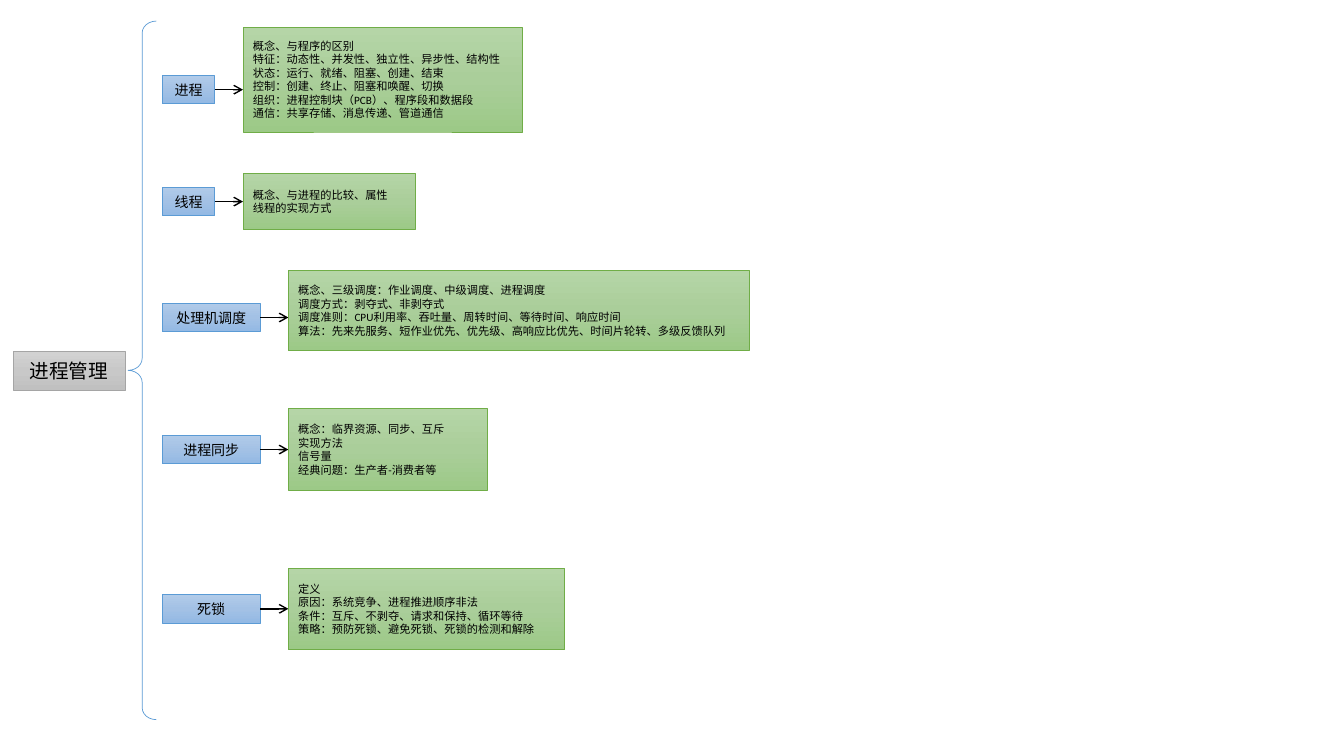
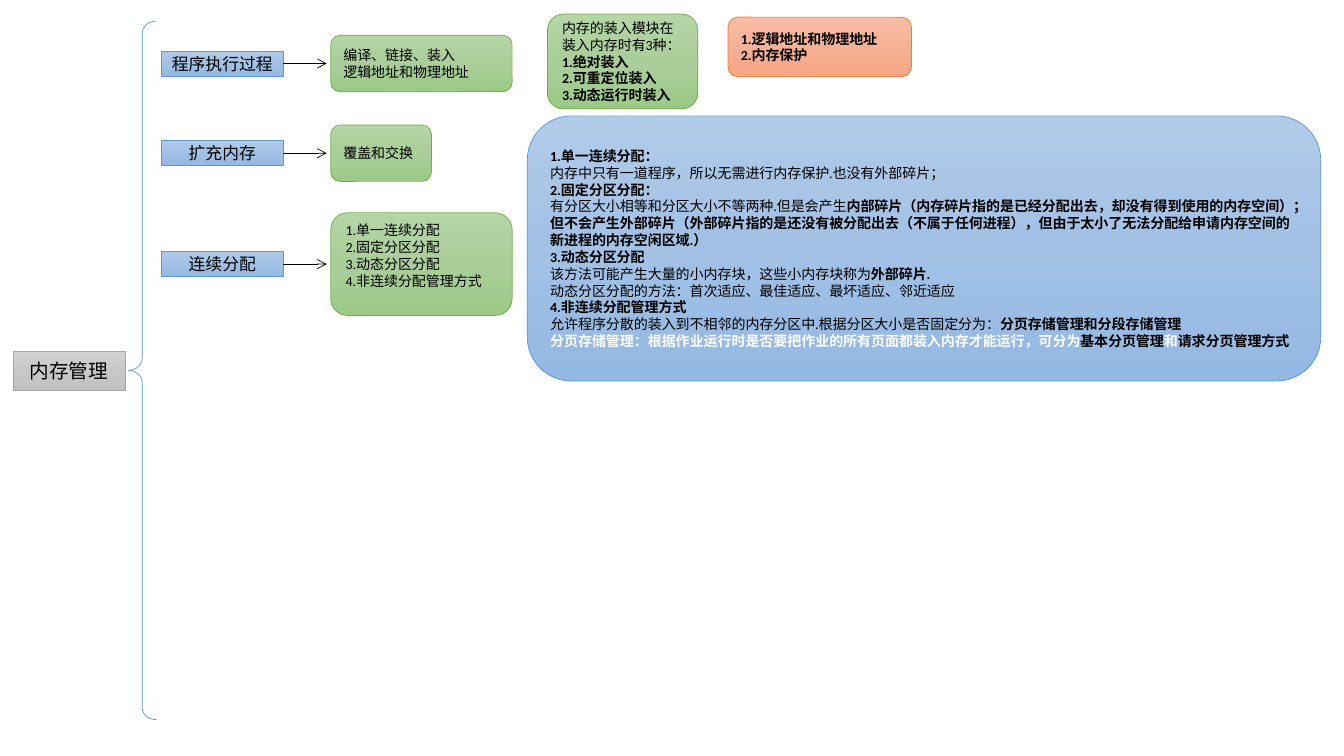
from copy import deepcopy

from pptx import Presentation
from pptx import util as u
from pptx.dml.color import RGBColor
from pptx.enum import shapes, text
from pptx.oxml.ns import qn
from pptx.oxml.xmlchemy import OxmlElement

FONT = "Calibri"
WIDTH, HEIGHT = 13.33, 7.5
COLORS = {"black": "000000", "white": "FFFFFF", "brace": "5B9BD5"}
# Each theme: three gradient stops from top to bottom, then the outline.
THEMES = {
    "gray": ("D2D2D2", "C8C8C8", "C0C0C0", "A5A5A5"),
    "blue": ("B1CBE9", "A3C1E5", "93B9E4", "5B9BD5"),
    "green": ("B5D5A7", "AACE9A", "9CC987", "70AD47"),
    "orange": ("F7BDA5", "F5B196", "F8A582", "ED7D31"),
}
RECT = shapes.MSO_SHAPE.RECTANGLE
ROUND = shapes.MSO_SHAPE.ROUNDED_RECTANGLE
BRACE = shapes.MSO_SHAPE.LEFT_BRACE
LEFT, CENTER = text.PP_ALIGN.LEFT, text.PP_ALIGN.CENTER

ROOT_BOX = (0.13, 3.49, 1.11, 0.38)
BRACE_BOX = (1.27, 0.21, 0.28, 6.93)

# A paragraph is a string, or a tuple of (text, style) runs.
PLAIN, BOLD, WHITE = "plain", "bold", "white"


def bold(*lines):
    """Return each line as a paragraph with one bold run."""
    return [((line, BOLD),) for line in lines]


# Branch: topic, topic width, topic centre, detail centre, detail width,
# detail height, detail lines.
PROCESS = {
    "root": "进程管理",
    "style": {"left": 1.61, "topic_height": 0.28, "reach": 0.28, "gap": 0,
              "line": 1, "topic_size": 10, "detail_size": 8, "outline": RECT},
    "branches": [
        ("进程", 0.52, 0.89, 0.79, 2.77, 1.04, [
            "概念、与程序的区别",
            "特征：动态性、并发性、独立性、异步性、结构性",
            "状态：运行、就绪、阻塞、创建、结束",
            "控制：创建、终止、阻塞和唤醒、切换",
            "组织：进程控制块（PCB）、程序段和数据段",
            "通信：共享存储、消息传递、管道通信"]),
        ("线程", 0.52, 2, 2, 1.71, 0.56, [
            "概念、与进程的比较、属性",
            "线程的实现方式"]),
        ("处理机调度", 0.97, 3.15, 3.08, 4.57, 0.8, [
            "概念、三级调度：作业调度、中级调度、进程调度",
            "调度方式：剥夺式、非剥夺式",
            "调度准则：CPU利用率、吞吐量、周转时间、等待时间、响应时间",
            "算法：先来先服务、短作业优先、优先级、高响应比优先、时间片轮转、多级反馈队列"]),
        ("进程同步", 0.97, 4.46, 4.46, 1.97, 0.81, [
            "概念：临界资源、同步、互斥",
            "实现方法",
            "信号量",
            "经典问题：生产者-消费者等"]),
        ("死锁", 0.97, 6.04, 6.04, 2.74, 0.81, [
            "定义",
            "原因：系统竞争、进程推进顺序非法",
            "条件：互斥、不剥夺、请求和保持、循环等待",
            "策略：预防死锁、避免死锁、死锁的检测和解除"]),
    ],
    "notes": [],
}

MEMORY = {
    "root": "内存管理",
    "style": {"left": 1.6, "topic_height": 0.25, "reach": 0.43, "gap": 0.04,
              "line": 0.5, "topic_size": 12, "detail_size": 10, "outline": ROUND},
    "branches": [
        ("程序执行过程", 1.21, 0.63, 0.63, 1.8, 0.56, [
            "编译、链接、装入", "逻辑地址和物理地址"]),
        ("扩充内存", 1.21, 1.52, 1.52, 1, 0.56, ["覆盖和交换"]),
        ("连续分配", 1.21, 2.62, 2.62, 1.8, 1.02, [
            "1.单一连续分配", "2.固定分区分配", "3.动态分区分配",
            "4.非连续分配管理方式"]),
    ],
    # Note: theme, box, paragraphs.
    "notes": [
        ("green", (5.43, 0.14, 1.49, 0.94), [
            (("内存的装入模块在装入内存时有3种：", PLAIN), ("1.绝对装入", BOLD)),
            *bold("2.可重定位装入", "3.动态运行时装入")]),
        ("orange", (7.22, 0.17, 1.82, 0.59),
         bold("1.逻辑地址和物理地址", "2.内存保护")),
        ("blue", (5.23, 1.15, 7.87, 2.63), [
            *bold("1.单一连续分配："),
            "内存中只有一道程序，所以无需进行内存保护.也没有外部碎片；",
            *bold("2.固定分区分配："),
            (("有分区大小相等和分区大小不等两种.但是会产生", PLAIN),
             ("内部碎片（内存碎片指的是已经分配出去，却没有得到使用的内存空间）；"
              "但不会产生外部碎片（外部碎片指的是还没有被分配出去（不属于任何进程），"
              "但由于太小了无法分配给申请内存空间的新进程的内存空闲区域.）", BOLD)),
            *bold("3.动态分区分配"),
            (("该方法可能产生大量的小内存块，这些小内存块称为", PLAIN),
             ("外部碎片.", BOLD)),
            "动态分区分配的方法：首次适应、最佳适应、最坏适应、邻近适应",
            *bold("4.非连续分配管理方式"),
            (("允许程序分散的装入到不相邻的内存分区中.根据分区大小是否固定分为：", PLAIN),
             ("分页存储管理和分段存储管理", BOLD)),
            (("分页存储管理：根据作业运行时是否要把作业的所有页面都装入内存才能运行，"
              "可分为", WHITE),
             ("基本分页管理", BOLD), ("和", WHITE), ("请求分页管理方式", BOLD))]),
    ],
}
LIST_BOTTOM_INSET = {"连续分配": 0.22}


def rgb(value):
    """Turn a hex string into a colour."""
    return RGBColor.from_string(value)


def write(shape, paragraphs, size, alignment):
    """Fill a shape with paragraphs of styled runs."""
    frame = shape.text_frame
    frame.word_wrap = True
    frame.vertical_anchor = text.MSO_ANCHOR.MIDDLE
    for index, content in enumerate(paragraphs):
        paragraph = frame.add_paragraph() if index else frame.paragraphs[0]
        paragraph.alignment = alignment
        runs = ((content, PLAIN),) if isinstance(content, str) else content
        for words, style in runs:
            run = paragraph.add_run()
            run.text = words
            run.font.name = FONT
            run.font.size = u.Pt(size)
            run.font.bold = style != PLAIN
            run.font.color.rgb = rgb(COLORS["white" if style == WHITE else "black"])


def add_outline(slide, kind, box, line_color):
    """Add a preset shape without shadow and with a thin outline."""
    shape = slide.shapes.add_shape(kind, *(u.Inches(length) for length in box))
    shape.shadow.inherit = False
    shape.line.color.rgb = rgb(line_color)
    shape.line.width = u.Pt(0.5)
    return shape


def add_box(slide, kind, box, theme, paragraphs, size, alignment=LEFT):
    """Add a text box shape with the theme's vertical gradient."""
    *stop_colors, line_color = THEMES[theme]
    shape = add_outline(slide, kind, box, line_color)
    shape.fill.gradient()
    shape.fill.gradient_angle = 270
    stops = shape.element.spPr.find(".//" + qn("a:gsLst"))
    stops.insert(1, deepcopy(stops[0]))
    for index, stop in enumerate(shape.fill.gradient_stops):
        stop.color.rgb = rgb(stop_colors[index])
        stop.position = index / 2
    write(shape, paragraphs, size, alignment)
    return shape


def add_arrow(slide, start, end, y, width):
    """Add a horizontal black arrow."""
    arrow = slide.shapes.add_connector(
        shapes.MSO_CONNECTOR.STRAIGHT,
        u.Inches(start), u.Inches(y), u.Inches(end), u.Inches(y))
    arrow.line.color.rgb = rgb(COLORS["black"])
    arrow.line.width = u.Pt(width)
    tail = OxmlElement("a:tailEnd")
    tail.set("type", "arrow")
    arrow.line._get_or_add_ln().append(tail)
    arrow.element.spPr.append(OxmlElement("a:effectLst"))


def add_branch(slide, branch, style):
    """Add a topic, its arrow and its detail box."""
    topic, width, middle, detail_middle, detail_width, detail_height, lines = branch
    height = style["topic_height"]
    topic_box = (style["left"], middle - height / 2, width, height)
    add_box(slide, RECT, topic_box, "blue", [topic], style["topic_size"], CENTER)
    start = style["left"] + width
    end = start + style["reach"]
    add_arrow(slide, start, end, middle, style["line"])
    detail_box = (end + style["gap"], detail_middle - detail_height / 2,
                  detail_width, detail_height)
    detail = add_box(slide, style["outline"], detail_box, "green", lines,
                     style["detail_size"])
    if topic in LIST_BOTTOM_INSET:
        detail.text_frame.margin_bottom = u.Inches(LIST_BOTTOM_INSET[topic])


def add_mind_map(presentation, content):
    """Add one slide: root, brace, branches and notes."""
    slide = presentation.slides.add_slide(presentation.slide_layouts[6])
    add_box(slide, RECT, ROOT_BOX, "gray", [content["root"]], 14, CENTER)
    brace = add_outline(slide, BRACE, BRACE_BOX, COLORS["brace"])
    brace.fill.background()
    brace.adjustments[0] = 0.423
    for branch in content["branches"]:
        add_branch(slide, branch, content["style"])
    for theme, box, paragraphs in content["notes"]:
        add_box(slide, ROUND, box, theme, paragraphs, 10)


presentation = Presentation()
presentation.slide_width = u.Inches(WIDTH)
presentation.slide_height = u.Inches(HEIGHT)
for content in (PROCESS, MEMORY):
    add_mind_map(presentation, content)
presentation.save("out.pptx")
